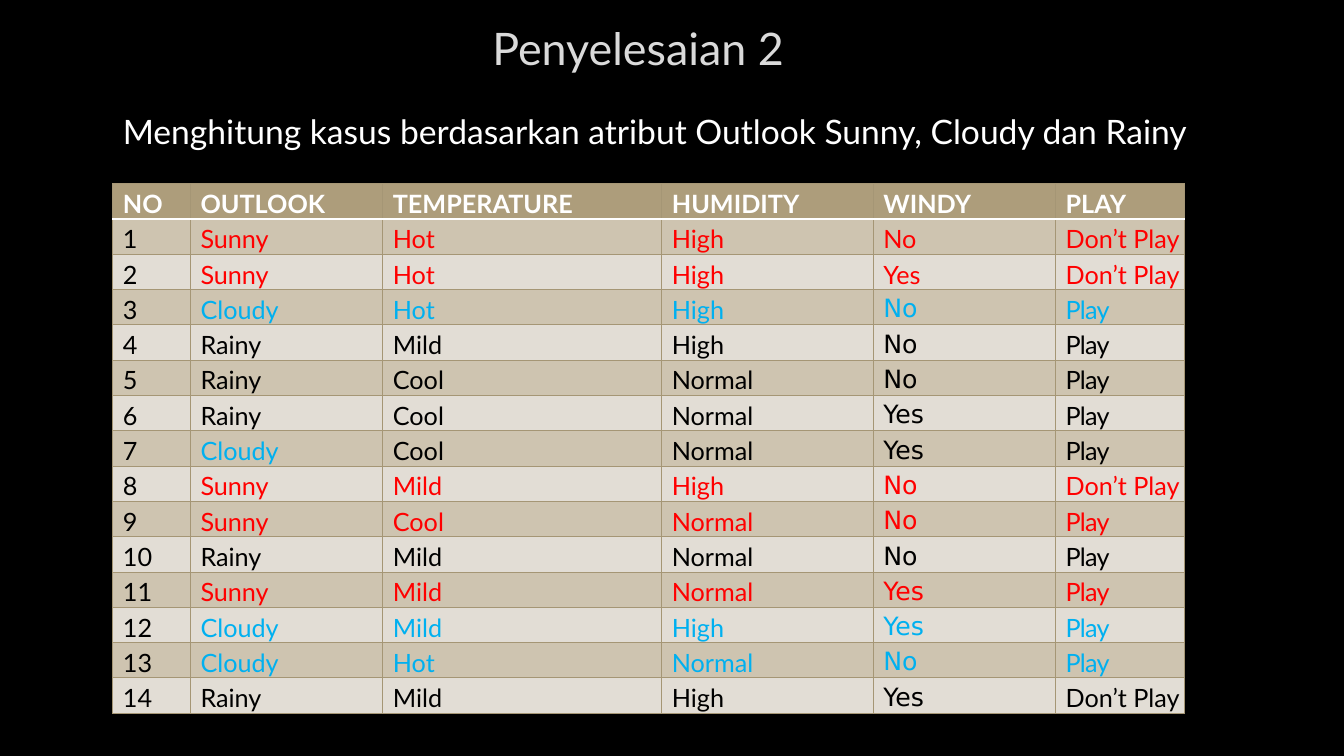
from lxml import etree
from pptx import Presentation
from pptx.dml.color import RGBColor
from pptx.enum.text import MSO_ANCHOR, PP_ALIGN
from pptx.oxml.ns import qn
from pptx.util import Inches, Pt

MID, TOP = MSO_ANCHOR.MIDDLE, MSO_ANCHOR.TOP
LEFT, CENTER = PP_ALIGN.LEFT, PP_ALIGN.CENTER
WIDE, HIGH = Inches(13.33), Inches(7.5)
SANS, ALT = "Lato", "DejaVu Sans"
BLACK, WHITE, EDGE = "000000", "FFFFFF", "A59675"
HEAD, DARK, LIGHT = "AD9D7B", "CEC4B0", "E2DDD5"
TINTS = {"Sunny": "FF0000", "Cloudy": "00B0F0", "Rainy": BLACK}
COLS = (0.77, 1.91, 2.77, 2.1, 1.81, 1.28)
WINDY = 4
INSET = {"margin_left": Inches(0.1), "margin_right": 0,
         "margin_top": Inches(0.05), "margin_bottom": 0}
NAMES = ("NO", "OUTLOOK", "TEMPERATURE", "HUMIDITY", "WINDY", "PLAY")
DAYS = (
    ("Sunny", "Hot", "High", "No", "Don’t Play"),
    ("Sunny", "Hot", "High", "Yes", "Don’t Play"),
    ("Cloudy", "Hot", "High", "No", "Play"),
    ("Rainy", "Mild", "High", "No", "Play"),
    ("Rainy", "Cool", "Normal", "No", "Play"),
    ("Rainy", "Cool", "Normal", "Yes", "Play"),
    ("Cloudy", "Cool", "Normal", "Yes", "Play"),
    ("Sunny", "Mild", "High", "No", "Don’t Play"),
    ("Sunny", "Cool", "Normal", "No", "Play"),
    ("Rainy", "Mild", "Normal", "No", "Play"),
    ("Sunny", "Mild", "Normal", "Yes", "Play"),
    ("Cloudy", "Mild", "High", "Yes", "Play"),
    ("Cloudy", "Hot", "Normal", "No", "Play"),
    ("Rainy", "Mild", "High", "Yes", "Don’t Play"),
)


def paint(fill, tone):
    """Give a fill one solid colour."""
    fill.solid()
    fill.fore_color.rgb = RGBColor.from_string(tone)


def apply(item, form):
    """Set each attribute named in a dict of format values."""
    for key, value in form.items():
        setattr(item, key, value)


def area(left, top, width, height):
    """Turn percentages of the slide into a box of lengths."""
    return [round(side * part / 100) for side, part in
            zip((WIDE, HIGH, WIDE, HIGH), (left, top, width, height))]


def write(para, text, tone, form):
    """Write one run and return it."""
    run = para.add_run()
    run.text = text
    apply(run.font, form)
    paint(run.font.fill, tone)
    return run


def label(slide, box, text, size, tone, align, anchor):
    """Place a line of text in a box."""
    frame = slide.shapes.add_textbox(*box).text_frame
    apply(frame, {"word_wrap": True, "vertical_anchor": anchor})
    para = frame.paragraphs[0]
    para.alignment = align
    write(para, text, tone, {"size": Pt(size), "name": SANS})


def border(cell, side, tone, width):
    """Draw one edge of a cell."""
    line = etree.SubElement(cell._tc.get_or_add_tcPr(), qn("a:ln" + side),
                            w=str(Pt(width)))
    fill = etree.SubElement(line, qn("a:solidFill"))
    etree.SubElement(fill, qn("a:srgbClr"), val=tone)


def tint(row, col, day):
    """Choose the text colour of a cell."""
    if row == 0:
        return WHITE
    if col == 0 or (row == 7 and col > 1):
        return BLACK
    return TINTS[day[1]]


def grid(slide, box):
    """Place the table of days in a box."""
    rows = [NAMES] + [(str(num), *day) for num, day in enumerate(DAYS, 1)]
    table = slide.shapes.add_table(len(rows), len(COLS), *box).table
    apply(table, {"first_row": False, "horz_banding": False})
    for col, part in zip(table.columns, COLS):
        col.width = round(box[2] * part / sum(COLS))
    for row, day in enumerate(rows):
        table.rows[row].height = round(box[3] / len(rows))
        for col, text in enumerate(day):
            cell = table.cell(row, col)
            apply(cell, INSET)
            rule = {"L": (EDGE, 0.75), "R": (EDGE, 0.75),
                    "T": (WHITE, 1.25) if row == 1 else (EDGE, 0.75),
                    "B": (WHITE, 1.25) if row == 0 else (EDGE, 0.75)}
            for side, look in rule.items():
                border(cell, side, *look)
            paint(cell.fill, HEAD if row == 0 else DARK if row % 2 else LIGHT)
            face = ALT if col == WINDY and row > 2 else SANS
            run = write(cell.text_frame.paragraphs[0], text, tint(row, col, day),
                        {"size": Pt(18), "name": face, "bold": row == 0})
            if text == "Play":
                run.font._element.set("spc", "-50")


def main():
    """Build the slide and save it."""
    deck = Presentation()
    apply(deck, {"slide_width": WIDE, "slide_height": HIGH})
    slide = deck.slides.add_slide(deck.slide_layouts[6])
    paint(slide.background.fill, BLACK)
    label(slide, area(8.4, 3.47, 78.17, 5.73), "Penyelesaian 2",
          32, "DADADA", CENTER, MID)
    grid(slide, area(8.4, 24.27, 79.74, 69.87))
    label(slide, area(8.4, 14, 82.75, 6.67),
          "Menghitung kasus berdasarkan atribut Outlook Sunny, Cloudy dan Rainy",
          24, WHITE, LEFT, TOP)
    deck.save("out.pptx")


if __name__ == "__main__":
    main()
